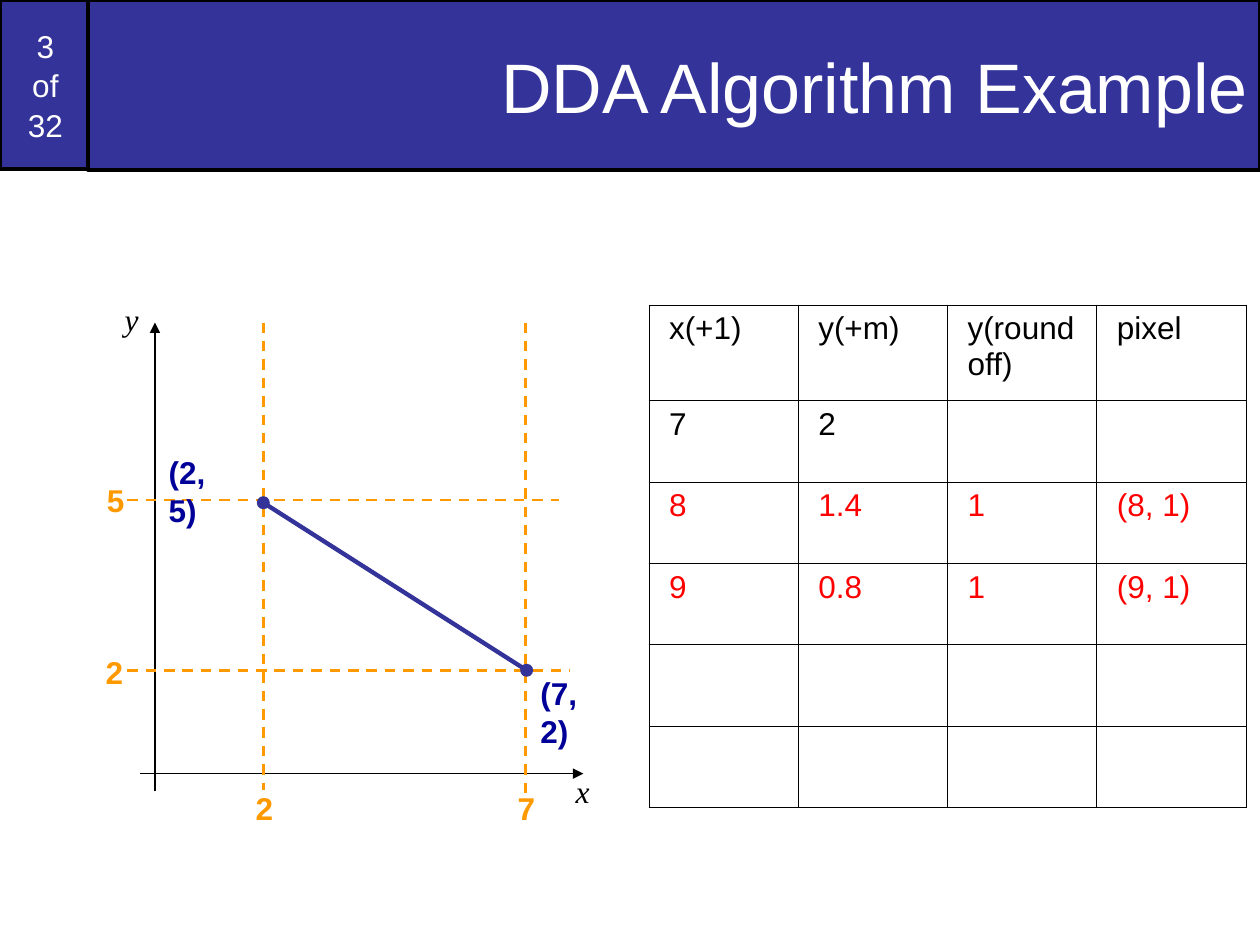
from lxml.etree import SubElement
from pptx import Presentation
from pptx.dml.color import RGBColor
from pptx.enum.dml import MSO_LINE
from pptx.enum.shapes import MSO_CONNECTOR, MSO_SHAPE
from pptx.enum.text import MSO_ANCHOR, PP_ALIGN
from pptx.oxml.ns import qn
from pptx.util import Inches, Pt

BLACK = RGBColor(0x00, 0x00, 0x00)
WHITE = RGBColor(0xFF, 0xFF, 0xFF)
INDIGO = RGBColor(0x33, 0x33, 0x99)
NAVY = RGBColor(0x00, 0x00, 0x99)
ORANGE = RGBColor(0xFF, 0x99, 0x00)
RED = RGBColor(0xFF, 0x00, 0x00)

COLUMNS, ROWS = 200, 150
WIDTH, HEIGHT = Inches(10), Inches(7.5)


def across(n):
    return round(WIDTH * n / COLUMNS)


def down(n):
    return round(HEIGHT * n / ROWS)


def place(x, y, w, h):
    return across(x), down(y), across(w), down(h)


def write(p, text, color, **extra):
    r = p.add_run()
    r.text = text
    r.font.color.rgb = color
    for name, value in ({"name": "Arial", "size": Pt(18)} | extra).items():
        setattr(r.font, name, value)


def add_panel(s, box, lines, align, size, spacing=1.0):
    sp = s.shapes.add_shape(MSO_SHAPE.RECTANGLE, *place(*box))
    sp.shadow.inherit = False
    sp.fill.solid()
    sp.fill.fore_color.rgb = INDIGO
    sp.line.color.rgb = BLACK
    sp.line.width = Pt(2)
    tf = sp.text_frame
    tf.word_wrap = True
    tf.vertical_anchor = MSO_ANCHOR.MIDDLE
    p = tf.paragraphs[0]
    p.alignment = align
    p.line_spacing = spacing
    for i, line in enumerate(lines):
        if i:
            p.add_line_break()
        write(p, line, WHITE, size=Pt(size))


def add_line(s, box, start, end, color, width, dash=None, head=None, tail=None):
    left, top = box[:2]
    ends = [f(o + v) for point in (start, end)
            for f, o, v in zip((across, down), (left, top), point)]
    line = s.shapes.add_connector(MSO_CONNECTOR.STRAIGHT, *ends)
    line.line.color.rgb = color
    line.line.width = Pt(width)
    if dash:
        line.line.dash_style = dash
    ln = line.line._get_or_add_ln()
    for tag, kind in (("a:headEnd", head), ("a:tailEnd", tail)):
        if kind:
            SubElement(ln, qn(tag), type=kind)
    SubElement(line._element.spPr, qn("a:effectLst"))


def add_label(s, box, x, y, w, text, color, **font):
    sp = s.shapes.add_textbox(*place(box[0] + x, box[1] + y, w, 8))
    sp.text_frame.word_wrap = False
    write(sp.text_frame.paragraphs[0], text, color, **font)


def add_plot(s, box):
    axis_x, axis_y, top = 9.8, 76.2, 4.6
    for start, end in (((axis_x, 79), (axis_x, top)),
                       ((7.4, axis_y), (77.8, axis_y))):
        add_line(s, box, start, end, BLACK, 1, tail="triangle")
    for x, y, text in ((74.6, 75, "x"), (3, 0, "y")):
        add_label(s, box, x, y, 6.2, text, BLACK,
                  name="Times New Roman", italic=True)

    guides = [((5.4, 59.8), (75.6, 59.8)), ((5.4, 32.8), (74, 32.8)),
              ((27, top), (27, 78.8)), ((68.6, top), (68.6, 79.6))]
    for start, end in guides:
        add_line(s, box, start, end, ORANGE, 1.5, dash=MSO_LINE.DASH)
    add_line(s, box, (27, 33.2), (68.8, 59.8), INDIGO, 2.5,
             head="oval", tail="oval")

    for x, y, text in ((10, 24.4, "(2, 5)"), (69, 59.4, "(7, 2)")):
        add_label(s, box, x, y, 15.6, text, NAVY, bold=True)
    ticks = [(23.8, 77.6, "2"), (65.4, 77.6, "7"), (0, 56, "2"), (0.2, 28.8, "5")]
    for x, y, text in ticks:
        add_label(s, box, x, y, 6.8, text, ORANGE, bold=True)


def style_cell(cell):
    margins = {"margin_left": 0.16, "margin_right": 0.16,
               "margin_top": 0.05, "margin_bottom": 0.05}
    for name, value in margins.items():
        setattr(cell, name, Inches(value))
    tcPr = cell._tc.get_or_add_tcPr()
    for side in ("a:lnL", "a:lnR", "a:lnT", "a:lnB"):
        ln = SubElement(tcPr, qn(side), w=str(Pt(0.45)))
        fill = SubElement(ln, qn("a:solidFill"))
        SubElement(fill, qn("a:srgbClr"), val=str(BLACK))
    cell.fill.background()


def add_steps(s, box):
    steps = [
        (BLACK, ("x(+1)", "y(+m)", "y(roundoff)", "pixel")),
        (BLACK, ("7", "2", "", "")),
        (RED, ("8", "1.4", "1", "(8, 1)")),
        (RED, ("9", "0.8", "1", "(9, 1)")),
        (BLACK, ("",) * 4),
        (BLACK, ("",) * 4),
    ]
    header = 15.2
    table = s.shapes.add_table(len(steps), 4, *place(*box)).table
    table.first_row = table.horz_banding = False
    for column in table.columns:
        column.width = across(box[2] / 4)
    for i, (color, texts) in enumerate(steps):
        table.rows[i].height = down(
            (box[3] - header) / (len(steps) - 1) if i else header)
        for j, text in enumerate(texts):
            cell = table.cell(i, j)
            style_cell(cell)
            if text:
                write(cell.text_frame.paragraphs[0], text, color)


def main():
    prs = Presentation()
    prs.slide_width, prs.slide_height = WIDTH, HEIGHT
    s = prs.slides.add_slide(prs.slide_layouts[6])
    add_panel(s, (0, 0, 14.4, 26.8), ("3", "of", "32"), PP_ALIGN.CENTER, 18, 1.05)
    add_panel(s, (14, 0, 186, 27), ("DDA Algorithm Example",), PP_ALIGN.RIGHT, 40)
    add_plot(s, (14.8, 46.6, 84.6, 85.6))
    add_steps(s, (103, 48.4, 94.8, 79.8))
    prs.save("out.pptx")


if __name__ == "__main__":
    main()
